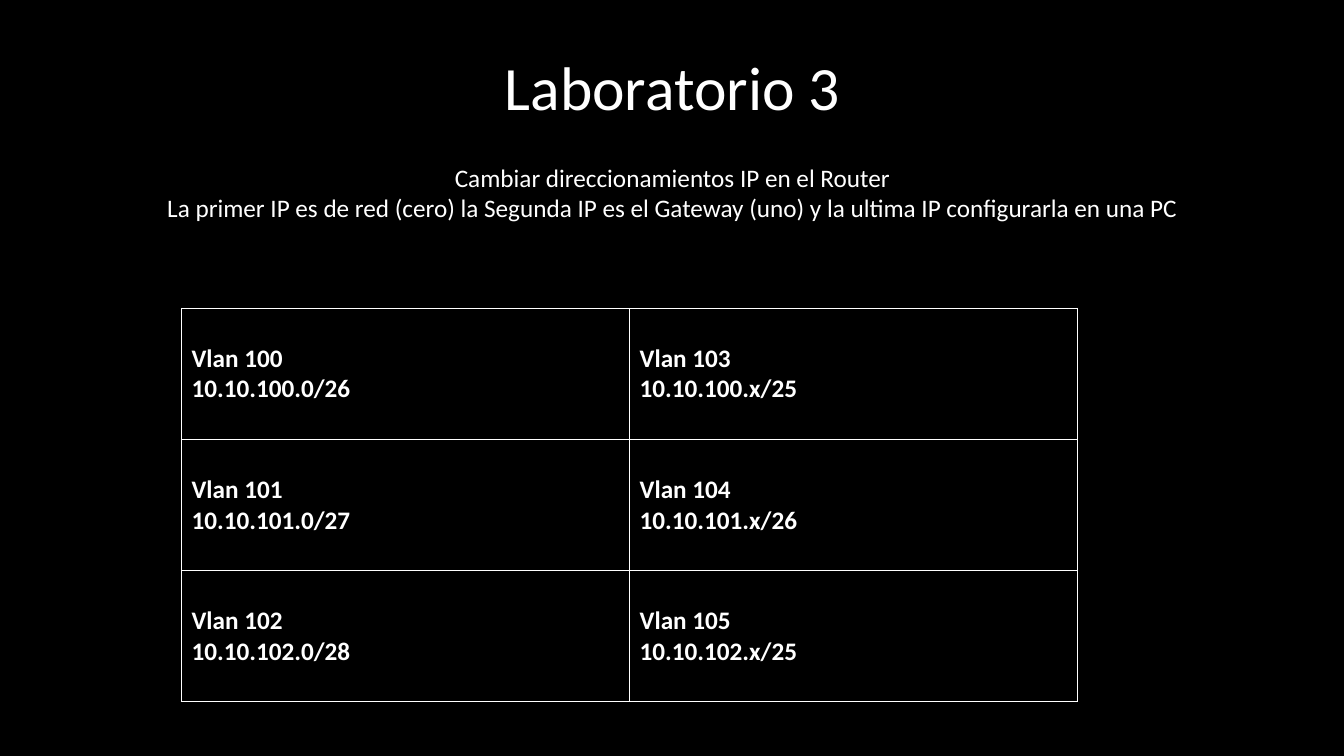
import pptx
import pptx.util
import pptx.dml.color
import pptx.enum.text
import pptx.oxml
import lxml.etree
from pptx.util import Inches

COLORS = {"background": "000000", "text": "FFFFFF", "border": "FFFFFF"}
ANCHOR = pptx.enum.text.MSO_ANCHOR
ALIGN = pptx.enum.text.PP_ALIGN


def write_lines(frame, lines, align, size, bold=False, spacing=1.0):
    for index, line in enumerate(lines):
        para = frame.paragraphs[0] if index == 0 else frame.add_paragraph()
        para.alignment = align
        para.line_spacing = spacing
        span = para.add_run()
        span.text = line
        style = {"name": "Calibri", "size": pptx.util.Pt(size), "bold": bold}
        for key, value in style.items():
            setattr(span.font, key, value)
        span.font.color.rgb = pptx.dml.color.RGBColor.from_string(COLORS["text"])


def add_borders(cell):
    properties = cell._tc.get_or_add_tcPr()
    for position, side in enumerate(("lnL", "lnR", "lnT", "lnB")):
        border = pptx.oxml.parse_xml(
            f'<a:{side} xmlns:a="http://schemas.openxmlformats.org/drawingml/2006/main" w="12700">'
            f'<a:solidFill><a:srgbClr val="{COLORS["border"]}"/></a:solidFill></a:{side}>'
        )
        properties.insert(position, border)


# Slide with a black background
deck = pptx.Presentation()
deck.slide_width = Inches(13.33)
deck.slide_height = Inches(7.5)
page = deck.slides.add_slide(deck.slide_layouts[6])
page.background.fill.solid()
page.background.fill.fore_color.rgb = pptx.dml.color.RGBColor.from_string(COLORS["background"])

# Title and instructions
texts = [
    ((0.92, 0.02, 11.5, 1.76), ["Laboratorio 3"], 44, 0.9, ANCHOR.MIDDLE),
    (
        (1.15, 1.56, 11.04, 1.01),
        [
            "Cambiar direccionamientos IP en el Router",
            "La primer IP es de red (cero) la Segunda IP es el Gateway (uno) "
            "y la ultima IP configurarla en una PC",
        ],
        18, 1.0, ANCHOR.TOP,
    ),
]
for place, lines, size, spacing, anchor in texts:
    box = page.shapes.add_textbox(*map(Inches, place))
    box.text_frame.word_wrap = True
    box.text_frame.vertical_anchor = anchor
    write_lines(box.text_frame, lines, ALIGN.CENTER, size, spacing=spacing)

# Table of VLAN networks
networks = [
    [("Vlan 100", "10.10.100.0/26"), ("Vlan 103", "10.10.100.x/25")],
    [("Vlan 101", "10.10.101.0/27"), ("Vlan 104", "10.10.101.x/26")],
    [("Vlan 102", "10.10.102.0/28"), ("Vlan 105", "10.10.102.x/25")],
]
table = page.shapes.add_table(
    len(networks), 2, Inches(1.8), Inches(3.06), Inches(8.89), Inches(3.9)
).table
table.first_row = False
table.horz_banding = False
for row, vlans in enumerate(networks):
    for column, lines in enumerate(vlans):
        cell = table.cell(row, column)
        cell.fill.background()
        cell.vertical_anchor = ANCHOR.MIDDLE
        write_lines(cell.text_frame, lines, ALIGN.LEFT, 18, bold=True)
        add_borders(cell)

deck.save("out.pptx")
